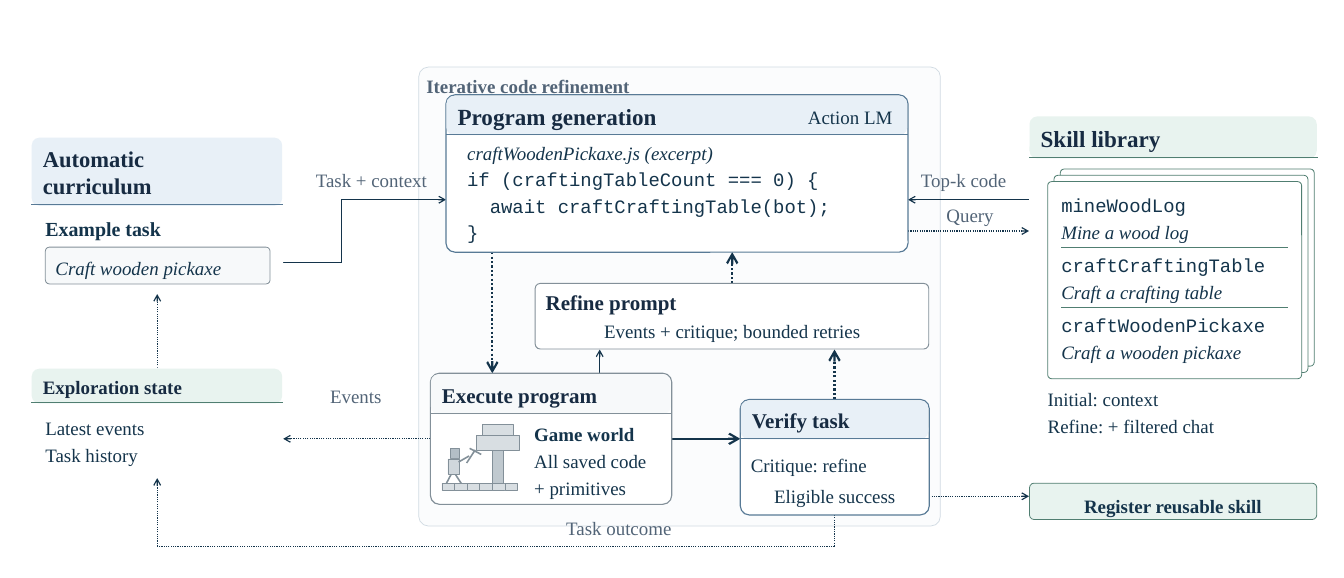
from itertools import pairwise

from pptx import Presentation
from pptx.dml.color import RGBColor
from pptx.enum.dml import MSO_LINE
from pptx.enum.shapes import MSO_CONNECTOR, MSO_SHAPE
from pptx.enum.text import MSO_ANCHOR, PP_ALIGN
from pptx.oxml.ns import qn
from pptx.util import Cm, Pt
from lxml import etree

DOTTED = MSO_LINE.ROUND_DOT
STRAIGHT = MSO_CONNECTOR.STRAIGHT
RECTANGLE = MSO_SHAPE.RECTANGLE
ROUNDED = MSO_SHAPE.ROUNDED_RECTANGLE
MIDDLE = MSO_ANCHOR.MIDDLE
LEFT, CENTER, RIGHT = PP_ALIGN.LEFT, PP_ALIGN.CENTER, PP_ALIGN.RIGHT

SERIF = "Times New Roman"
MONO = "Courier New"

WHITE = RGBColor(0xFF, 0xFF, 0xFF)
PANEL = RGBColor(0xFB, 0xFC, 0xFD)
PANEL_EDGE = RGBColor(0xD1, 0xDB, 0xE3)
INK = RGBColor(0x14, 0x34, 0x4B)
TITLE_INK = RGBColor(0x17, 0x2B, 0x42)
LABEL_INK = RGBColor(0x52, 0x64, 0x77)
BLUE = RGBColor(0x58, 0x7A, 0x96)
BLUE_TINT = RGBColor(0xE8, 0xF0, 0xF7)
GREEN = RGBColor(0x50, 0x7E, 0x71)
GREEN_TINT = RGBColor(0xE8, 0xF3, 0xEF)
GRAY = RGBColor(0x83, 0x90, 0x99)
GRAY_TINT = RGBColor(0xF7, 0xF9, 0xFA)
STONE = RGBColor(0xD8, 0xDE, 0xE2)
PILLAR = RGBColor(0xC0, 0xC9, 0xCF)
HEAD = RGBColor(0xB3, 0xBE, 0xC6)
TORSO = RGBColor(0xD0, 0xD7, 0xDC)

THIN, THICK = 1.65, 3.15


def inches(value):
    return Cm(value * 2.54)


def write(para, text, size=27, font=SERIF, color=INK, bold=False, italic=False):
    span = para.add_run()
    span.text = text
    span.font.size = Pt(size)
    span.font.name = font
    span.font.color.rgb = color
    span.font.bold = bold
    span.font.italic = italic


class Diagram:
    def __init__(self, slide):
        self.shapes = slide.shapes

    def block(self, left, top, width, height, fill, edge=None, weight=1.13, radius=0):
        shape = self.shapes.add_shape(
            ROUNDED if radius else RECTANGLE, *map(inches, (left, top, width, height)))
        shape.shadow.inherit = False
        if radius:
            shape.adjustments[0] = radius / min(width, height)
        shape.fill.solid()
        shape.fill.fore_color.rgb = fill
        if edge is None:
            shape.line.fill.background()
        else:
            shape.line.color.rgb = edge
            shape.line.width = Pt(weight)

    def line(self, start, end, color, weight, dash=None, arrow=False):
        connector = self.shapes.add_connector(STRAIGHT, *map(inches, (*start, *end)))
        connector.line.color.rgb = color
        connector.line.width = Pt(weight)
        if dash is not None:
            connector.line.dash_style = dash
        properties = connector.element.spPr
        if arrow:
            etree.SubElement(properties.find(qn("a:ln")), qn("a:tailEnd"),
                             type="arrow", w="lg", len="lg")
        etree.SubElement(properties, qn("a:effectLst"))

    def flow(self, *points, weight=THIN, dash=None):
        for start, end in pairwise(points):
            self.line(start, end, INK, weight, dash, arrow=end == points[-1])

    def text(self, left, top, width, height, *lines, align=LEFT, gap=6, **style):
        box = self.shapes.add_textbox(*map(inches, (left, top, width, height)))
        frame = box.text_frame
        frame.word_wrap = True
        frame.vertical_anchor = MIDDLE
        frame.margin_left = frame.margin_right = 0
        frame.margin_top = frame.margin_bottom = 0
        for index, entry in enumerate(lines):
            para = frame.paragraphs[0] if index == 0 else frame.add_paragraph()
            para.alignment = align
            if index:
                para.space_before = Pt(gap)
            content, extra = (entry, {}) if isinstance(entry, str) else entry
            write(para, content, **{**style, **extra})

    def card(self, left, top, width, height, header, tint, accent, *title,
             size=33, framed=True):
        self.block(left, top, width, height, WHITE, accent if framed else None,
                   THIN, radius=0.18)
        self.block(left + 0.01, top + 0.02, width - 0.03, header, tint, radius=0.15)
        self.line((left, top + header), (left + width, top + header), accent, 1.05)
        self.text(left + 0.23, top + 0.03, width - 0.46, header, *title,
                  gap=0, size=size, color=TITLE_INK, bold=True)


def draw_flows(diagram):
    diagram.flow((5.62, 5.21), (6.77, 5.21), (6.77, 3.96), (8.85, 3.96))
    diagram.flow((9.77, 5), (9.77, 7.4), weight=THICK, dash=DOTTED)
    diagram.flow((13.33, 8.7), (14.69, 8.7), weight=THICK)
    diagram.flow((18.44, 9.84), (20.42, 9.84), dash=DOTTED)
    diagram.flow((20.42, 3.96), (18.02, 3.96))
    diagram.flow((18.02, 4.58), (20.42, 4.58), dash=DOTTED)
    diagram.flow((8.54, 8.7), (5.62, 8.7), dash=DOTTED)
    diagram.flow((16.56, 10.21), (16.56, 10.83), (3.12, 10.83), (3.12, 9.48), dash=DOTTED)
    diagram.flow((3.12, 7.29), (3.12, 5.83), dash=DOTTED)
    diagram.flow((11.9, 7.4), (11.9, 6.93))
    diagram.flow((16.56, 7.92), (16.56, 6.93), weight=THICK, dash=DOTTED)
    diagram.flow((14.53, 5.62), (14.53, 5), weight=THICK, dash=DOTTED)
    for label, left, top, width in (
            ("Task + context", 6.09, 3.33, 2.56), ("Top-k code", 18.12, 3.33, 2),
            ("Query", 18.65, 4.01, 1.2), ("Events", 6.41, 7.6, 1.3),
            ("Task outcome", 11.04, 10.22, 2.48)):
        diagram.text(left, top, width, 0.49, label, align=CENTER, color=LABEL_INK)


def draw_curriculum(diagram):
    diagram.card(0.62, 2.71, 5, 3.12, 1.35, BLUE_TINT, BLUE,
                 "Automatic", "curriculum", size=32.2, framed=False)
    diagram.text(0.9, 4.27, 4.46, 0.53, "Example task", size=28.5, bold=True)
    diagram.block(0.9, 4.9, 4.46, 0.73, GRAY_TINT, GRAY, radius=0.08)
    diagram.text(1.1, 5.05, 4.04, 0.51, "Craft wooden pickaxe", italic=True)
    diagram.card(0.62, 7.29, 5, 2.19, 0.69, GREEN_TINT, GREEN,
                 "Exploration state", size=27, framed=False)
    diagram.text(0.9, 8.23, 4.46, 1.05, "Latest events", "Task history")


def draw_refinement(diagram):
    diagram.card(8.85, 1.88, 9.17, 3.12, 0.78, BLUE_TINT, BLUE, "Program generation")
    diagram.text(15.94, 2.06, 1.77, 0.51, "Action LM", align=RIGHT)
    diagram.text(9.27, 2.78, 8.33, 2.07,
                 ("craftWoodenPickaxe.js (excerpt)", {"font": SERIF, "italic": True}),
                 "if (craftingTableCount === 0) {",
                 "  await craftCraftingTable(bot);",
                 "}", font=MONO, gap=5)
    diagram.block(10.62, 5.62, 7.81, 1.3, WHITE, GRAY, 1.35, radius=0.1)
    diagram.text(10.83, 5.75, 7.4, 0.49, "Refine prompt", size=30, color=TITLE_INK, bold=True)
    diagram.text(10.83, 6.3, 7.4, 0.51, "Events + critique; bounded retries", align=CENTER)
    diagram.card(8.54, 7.4, 4.79, 2.6, 0.79, GRAY_TINT, GRAY, "Execute program", size=30)
    draw_worker(diagram)
    diagram.text(10.6, 8.34, 2.5, 1.6, ("Game world", {"bold": True}),
                 "All saved code", "+ primitives")
    diagram.card(14.69, 7.92, 3.75, 2.29, 0.77, BLUE_TINT, BLUE, "Verify task", size=30)
    diagram.text(14.9, 8.96, 3.33, 0.51, "Critique: refine")
    diagram.text(14.9, 9.58, 3.33, 0.51, "Eligible success", align=CENTER)


def draw_worker(diagram):
    for brick in range(6):
        diagram.block(8.77 + 0.25 * brick, 9.58, 0.25, 0.15, STONE, GRAY)
    for left, top, width, height, fill in (
            (9.78, 8.92, 0.21, 0.67, PILLAR), (9.58, 8.41, 0.6, 0.23, STONE),
            (9.46, 8.64, 0.85, 0.29, STONE), (8.93, 8.9, 0.19, 0.19, HEAD),
            (8.89, 9.1, 0.23, 0.3, TORSO)):
        diagram.block(left, top, width, height, fill, GRAY)
    for start, end in (
            ((8.95, 9.41), (8.86, 9.58)), ((9.04, 9.41), (9.15, 9.58)),
            ((9.1, 9.16), (9.31, 9.04)), ((9.26, 9.18), (9.43, 8.92)),
            ((9.32, 8.89), (9.55, 9.01))):
        diagram.line(start, end, GRAY, 2.25)


def draw_library(diagram):
    diagram.card(20.42, 2.29, 5.73, 8.44, 0.83, GREEN_TINT, GREEN,
                 "Skill library", framed=False)
    for sheet in range(3):
        offset = 0.125 * sheet
        diagram.block(21.04 - offset, 3.35 + offset, 5.04, 3.91, WHITE, GREEN, radius=0.08)
    skills = (("mineWoodLog", "Mine a wood log"),
              ("craftCraftingTable", "Craft a crafting table"),
              ("craftWoodenPickaxe", "Craft a wooden pickaxe"))
    for index, (name, purpose) in enumerate(skills):
        top = 3.8 + 1.19 * index
        if index:
            diagram.line((21.06, top - 0.09), (25.56, top - 0.09), GREEN, 1.13)
        diagram.text(21.06, top, 4.5, 1.05, (name, {"font": MONO}),
                     (purpose, {"italic": True}))
    diagram.text(20.79, 7.66, 5, 1.05, "Initial: context", "Refine: + filtered chat")
    diagram.block(20.43, 9.58, 5.7, 0.72, GREEN_TINT, GREEN, radius=0.09)
    diagram.text(20.62, 9.77, 5.31, 0.51, "Register reusable skill", align=CENTER, bold=True)


def main():
    deck = Presentation()
    deck.slide_width, deck.slide_height = inches(26.67), inches(11.46)
    diagram = Diagram(deck.slides.add_slide(deck.slide_layouts[6]))
    diagram.block(8.31, 1.33, 10.35, 9.1, PANEL, PANEL_EDGE, 1.05, radius=0.19)
    diagram.text(8.46, 1.46, 10.06, 0.49, "Iterative code refinement",
                 color=LABEL_INK, bold=True)
    draw_flows(diagram)
    draw_curriculum(diagram)
    draw_refinement(diagram)
    draw_library(diagram)
    deck.save("out.pptx")


if __name__ == "__main__":
    main()
